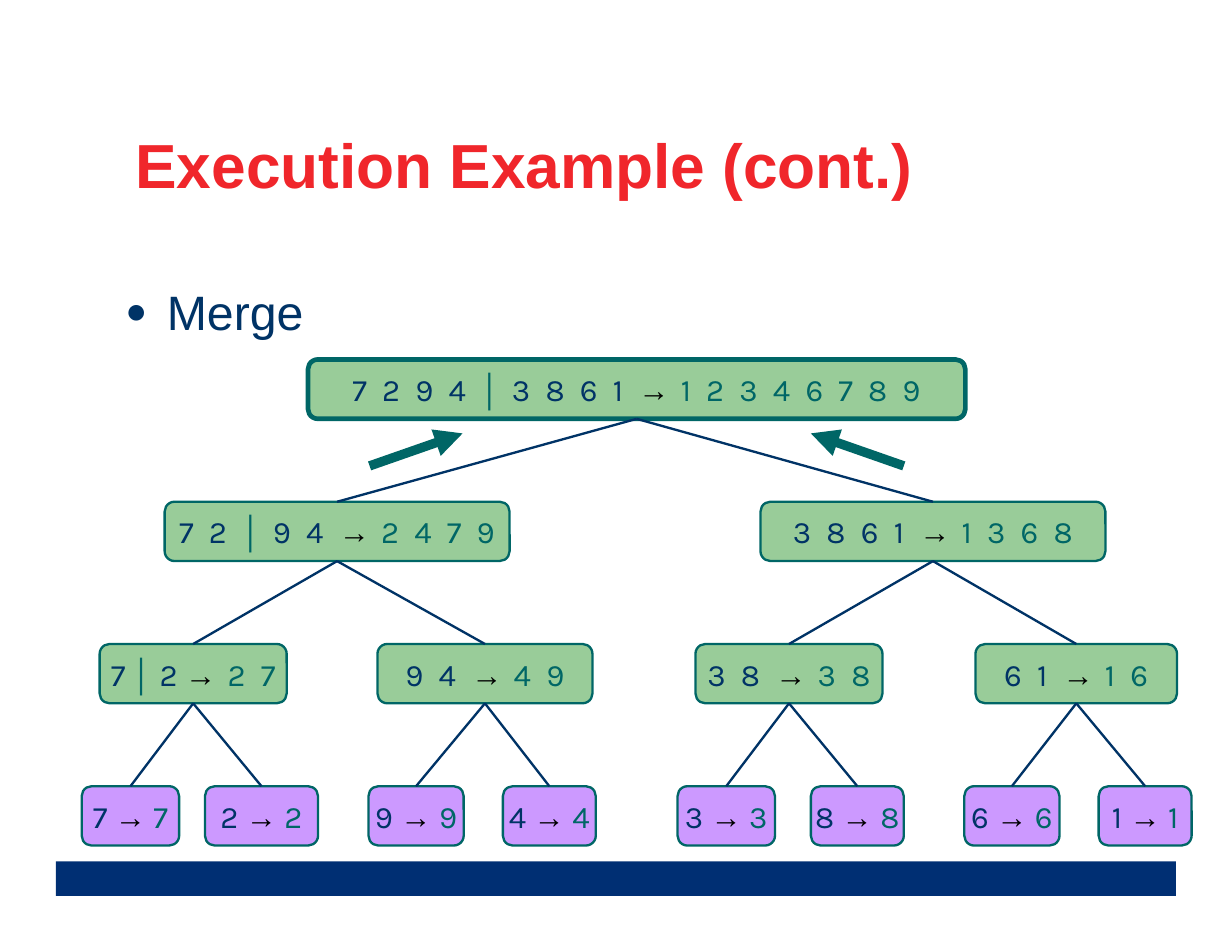
from lxml.etree import SubElement
from pptx import Presentation
from pptx.dml.color import RGBColor
from pptx.enum.shapes import MSO_CONNECTOR, MSO_SHAPE
from pptx.enum.text import MSO_ANCHOR, MSO_AUTO_SIZE, PP_ALIGN
from pptx.oxml.ns import qn
from pptx.util import Inches, Pt

COLOURS = {
    "title": "F0262B", "navy": "003366", "teal": "006666", "arrow": "000000",
    "merged": "99CC99", "leaf": "CC99FF", "bar": "002F73",
}
COLUMNS, ROWS = 11, 8.5

# Each tree level: (left column, width in columns, text) from left to right
TREE = [
    [(2.75, 5.87, "7 2 9 4 │ 3 8 6 1 → 1 2 3 4 6 7 8 9")],
    [(1.47, 3.08, "7 2 │ 9 4 → 2 4 7 9"), (6.79, 3.08, "3 8 6 1 → 1 3 6 8")],
    [(0.89, 1.67, "7 │ 2 → 2 7"), (3.37, 1.92, "9 4 → 4 9"),
     (6.21, 1.67, "3 8 → 3 8"), (8.71, 1.80, "6 1 → 1 6")],
    [(0.73, 0.87, "7 → 7"), (1.83, 1.01, "2 → 2"),
     (3.29, 0.85, "9 → 9"), (4.49, 0.83, "4 → 4"),
     (6.05, 0.87, "3 → 3"), (7.24, 0.83, "8 → 8"),
     (8.61, 0.85, "6 → 6"), (9.81, 0.83, "1 → 1")],
]
TOP_ROW, LEVEL_STEP, NODE_HEIGHT = 3.21, 1.27, 0.53


def colour(name):
    return RGBColor.from_string(COLOURS[name])


def apply(target, values):
    for name, value in values.items():
        setattr(target, name, value)


class SlideBuilder:
    """Holds the style and the current slide."""

    frame_format = {
        "margin_left": Inches(0.11), "margin_right": Inches(0.11),
        "margin_top": Inches(0.06), "margin_bottom": Inches(0.06),
        "auto_size": MSO_AUTO_SIZE.NONE,
    }
    digit_spacing = "250"

    def __init__(self, deck):
        self.slide = deck.slides.add_slide(deck.slide_layouts[1])
        self.column = deck.slide_width / COLUMNS
        self.row = deck.slide_height / ROWS

    def place(self, left, top, width, height):
        return (round(left * self.column), round(top * self.row),
                round(width * self.column), round(height * self.row))

    def span(self, para, text, size, ink, font="Arial", bold=False):
        span = para.add_run()
        span.text = text
        apply(span.font, {"name": font, "size": Pt(size), "bold": bold})
        span.font.color.rgb = colour(ink)
        return span

    def placeholder(self, index, area, anchor, para_format, text, **style):
        box = self.slide.placeholders[index]
        apply(box, dict(zip(("left", "top", "width", "height"), self.place(*area))))
        apply(box.text_frame, {**self.frame_format, "word_wrap": True,
                               "vertical_anchor": anchor})
        para = box.text_frame.paragraphs[0]
        apply(para, {"alignment": PP_ALIGN.LEFT, **para_format})
        self.span(para, text, **style)
        return para

    def bullet(self, para, ink):
        properties = para._p.get_or_add_pPr()
        properties.set("marL", str(Inches(0.37)))
        properties.set("indent", str(-Inches(0.37)))
        tint = SubElement(properties, qn("a:buClr"))
        SubElement(tint, qn("a:srgbClr"), val=COLOURS[ink])
        SubElement(properties, qn("a:buSzPct"), val="75000")
        SubElement(properties, qn("a:buChar"), char="●")

    def box(self, kind, area, fill, line=None, width=1.5):
        box = self.slide.shapes.add_shape(kind, *self.place(*area))
        box.shadow.inherit = False
        box.fill.solid()
        box.fill.fore_color.rgb = colour(fill)
        if line:
            box.line.color.rgb = colour(line)
            box.line.width = Pt(width)
        else:
            box.line.fill.background()
        return box

    def node(self, area, text, fill, width):
        box = self.box(MSO_SHAPE.ROUNDED_RECTANGLE, area, fill, "teal", width)
        apply(box.text_frame, {**self.frame_format, "word_wrap": False,
                               "vertical_anchor": MSO_ANCHOR.MIDDLE})
        para = box.text_frame.paragraphs[0]
        para.alignment = PP_ALIGN.CENTER
        source, arrow, result = text.partition("→")
        first, divider, second = source.partition("│")
        for part, ink in ((first, "navy"), (divider, "teal"), (second, "navy"),
                          (arrow, "arrow"), (result, "teal")):
            if not part:
                continue
            symbol = part in "│→"
            span = self.span(para, part, 20, ink,
                             "Arial" if symbol else "Karla", symbol)
            if len(part.split()) > 1:
                span._r.get_or_add_rPr().set("spc", self.digit_spacing)
        return box

    def line(self, ink, width, start=(0, 0), end=(0, 0)):
        x1, y1, x2, y2 = self.place(*start, *end)
        line = self.slide.shapes.add_connector(MSO_CONNECTOR.STRAIGHT, x1, y1, x2, y2)
        line.line.color.rgb = colour(ink)
        line.line.width = Pt(width)
        SubElement(line.element.spPr, qn("a:effectLst"))
        return line

    def branch(self, parent, child):
        line = self.line("navy", 1.5)
        line.begin_connect(parent, 2)
        line.end_connect(child, 0)

    def arrow(self, start, end):
        line = self.line("teal", 6, start, end)
        SubElement(line.element.spPr.find(qn("a:ln")), qn("a:tailEnd"), type="triangle")


def main():
    deck = Presentation()
    deck.slide_width, deck.slide_height = Inches(11), Inches(8.5)
    page = SlideBuilder(deck)

    # Footer bar, title and list
    page.box(MSO_SHAPE.RECTANGLE, (0.5, 7.69, 10, 0.31), "bar")
    page.placeholder(0, (1.1, 1.13, 9.62, 0.73), MSO_ANCHOR.BOTTOM,
                     {"line_spacing": 0.9}, "Execution Example (cont.)",
                     size=40, ink="title", bold=True)
    merge = page.placeholder(1, (1.01, 2.46, 9.35, 0.64), MSO_ANCHOR.TOP,
                             {"space_before": Pt(7.8)}, "Merge", size=31, ink="navy")
    page.bullet(merge, "navy")

    # Merge tree: every node joins the node above that holds its pair
    parents = []
    for depth, level in enumerate(TREE):
        fill = "leaf" if level is TREE[-1] else "merged"
        top = TOP_ROW + depth * LEVEL_STEP
        nodes = [page.node((left, top, width, NODE_HEIGHT), text, fill,
                           1.5 if depth else 3)
                 for left, width, text in level]
        if parents:
            for index, child in enumerate(nodes):
                page.branch(parents[index // 2], child)
        parents = nodes

    # Arrows showing the merge direction
    page.arrow((3.3, 4.16), (4.13, 3.87))
    page.arrow((8.07, 4.16), (7.24, 3.87))

    deck.save("out.pptx")


if __name__ == "__main__":
    main()
